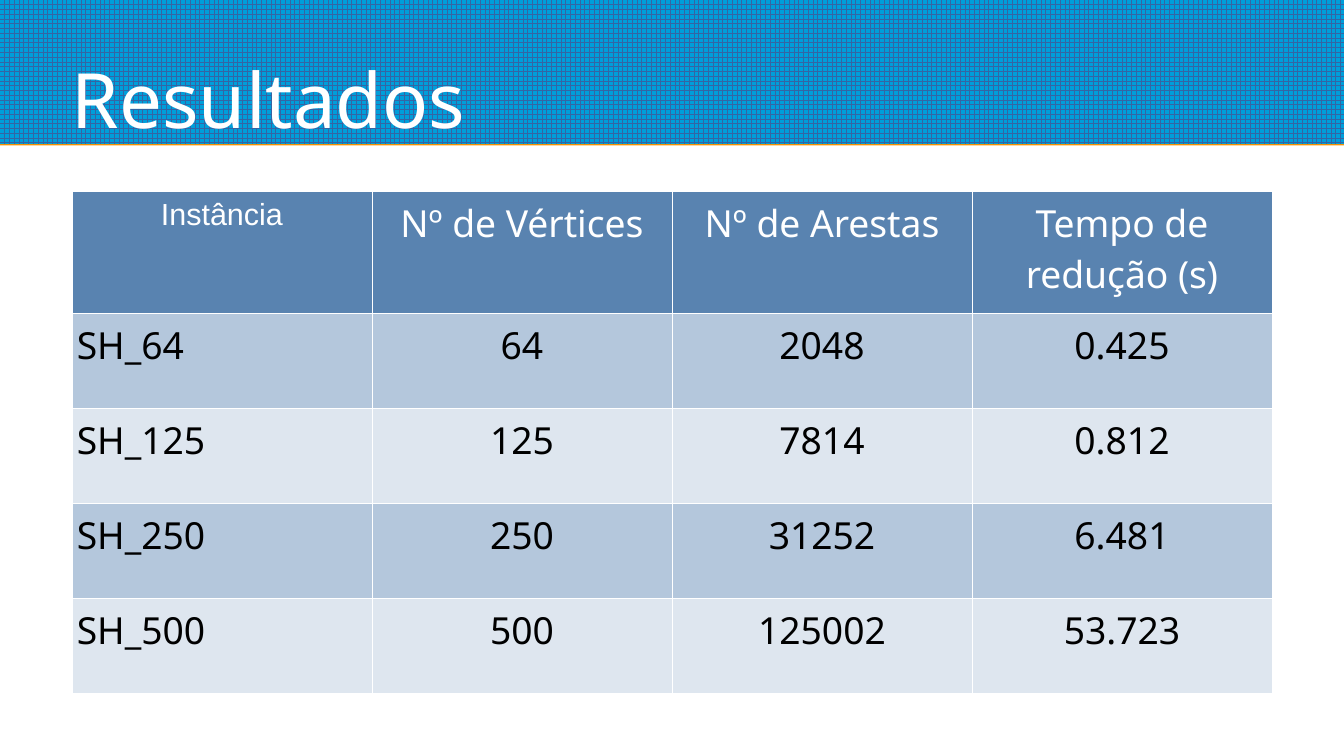
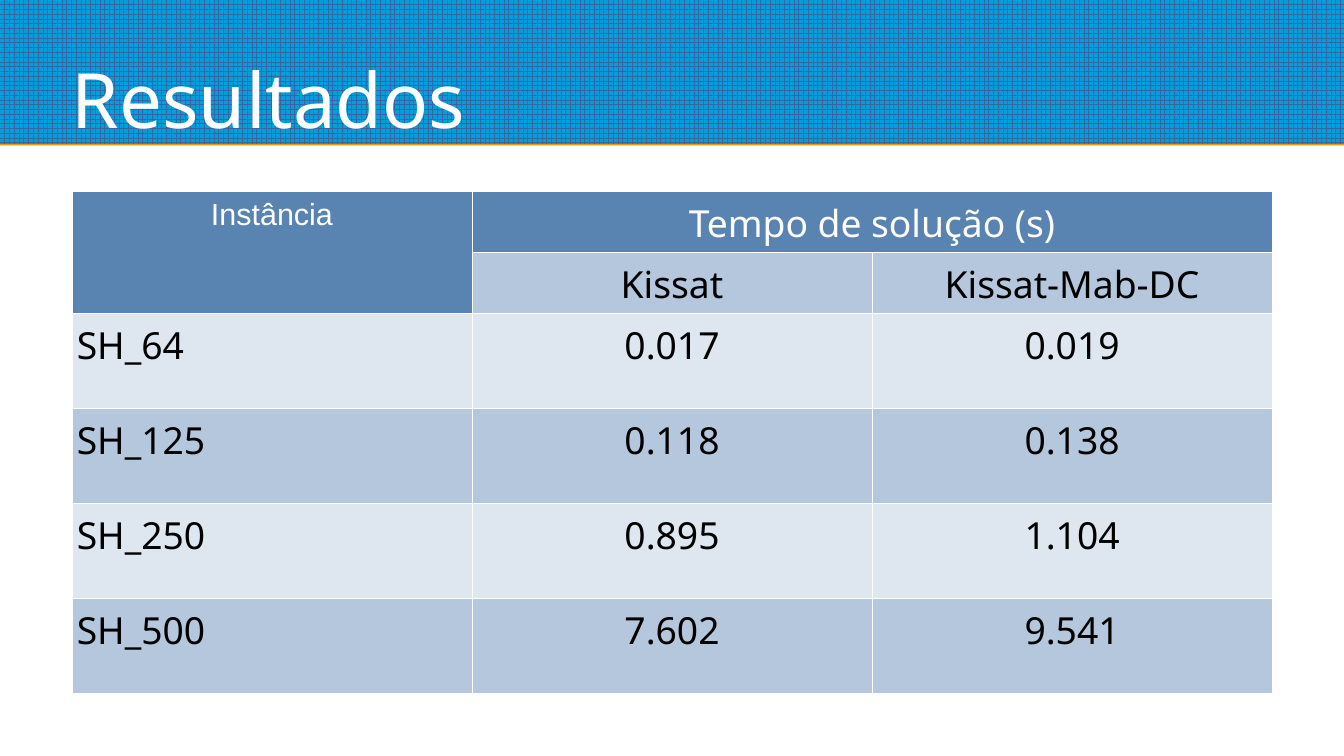
from pptx import Presentation
from pptx.dml.color import RGBColor
from pptx.enum.dml import MSO_PATTERN
from pptx.enum.shapes import MSO_SHAPE
from pptx.enum.text import MSO_ANCHOR, PP_ALIGN
from pptx.oxml import parse_xml
from pptx.oxml.ns import nsdecls
from pptx.util import Inches, Pt

COLORS = {
    "band": "009EDA",
    "grid": "3465A4",
    "edge": "F49100",
    "header": "5983B0",
    "odd_row": "B4C7DC",
    "even_row": "DEE6EF",
    "light": "FFFFFF",
    "dark": "000000",
}
WIDTH, HEIGHT = 11.02, 6.2
MARGIN = 0.59
CONTENT_WIDTH = WIDTH - 2 * MARGIN
BAND_HEIGHT = 1.18
TITLE_TOP = 0.1
TABLE_TOP = 1.57
BODY_ROW = 0.78
FONT = "Noto Sans"
CORNER_FONT = "Arial"


def color(key):
    return RGBColor.from_string(COLORS[key])


def set_font(paragraph, name, size, color_key):
    font = paragraph.font
    font.name = name
    font.size = Pt(size)
    font.bold = False
    font.color.rgb = color(color_key)


def add_band(slide):
    band = slide.shapes.add_shape(
        MSO_SHAPE.RECTANGLE, 0, 0, Inches(WIDTH), Inches(BAND_HEIGHT))
    band.fill.patterned()
    band.fill.pattern = MSO_PATTERN.LARGE_GRID
    band.fill.fore_color.rgb = color("grid")
    band.fill.back_color.rgb = color("band")
    band.line.fill.background()
    band.shadow.inherit = False
    effects = band.element.spPr.find("{*}effectLst")
    effects.append(parse_xml(
        f'<a:outerShdw {nsdecls("a")} blurRad="0" dist="{Pt(0.9)}" '
        f'dir="5400000" algn="ctr" rotWithShape="0">'
        f'<a:srgbClr val="{COLORS["edge"]}"/></a:outerShdw>'))


def add_title(slide, text):
    title = slide.shapes.add_textbox(
        Inches(MARGIN), Inches(TITLE_TOP),
        Inches(CONTENT_WIDTH), Inches(BAND_HEIGHT - TITLE_TOP))
    frame = title.text_frame
    frame.word_wrap = True
    frame.vertical_anchor = MSO_ANCHOR.BOTTOM
    frame.margin_left = frame.margin_right = 0
    frame.margin_top = frame.margin_bottom = 0
    frame.text = text
    set_font(frame.paragraphs[0], FONT, 45, "light")


def add_borders(cell):
    properties = cell._tc.get_or_add_tcPr()
    for side in ("lnL", "lnR", "lnT", "lnB"):
        properties.append(parse_xml(
            f'<a:{side} {nsdecls("a")} w="{Pt(0.57)}"><a:solidFill>'
            f'<a:srgbClr val="{COLORS["light"]}"/></a:solidFill></a:{side}>'))


def fill_cell(cell, text, row, column):
    add_borders(cell)
    cell.margin_left = cell.margin_right = Inches(0.04)
    cell.margin_top = cell.margin_bottom = Inches(0.05)
    cell.fill.solid()
    background = "header" if row == 0 else "odd_row" if row % 2 else "even_row"
    cell.fill.fore_color.rgb = color(background)
    if not text:
        return
    cell.text = text
    paragraph = cell.text_frame.paragraphs[0]
    is_label = column == 0 and row > 0
    paragraph.alignment = PP_ALIGN.LEFT if is_label else PP_ALIGN.CENTER
    name, size = (CORNER_FONT, 18) if row == column == 0 else (FONT, 22)
    set_font(paragraph, name, size, "dark" if row else "light")


def add_results(slide, rows, header_heights, merges=()):
    columns = len(rows[0])
    heights = header_heights + [BODY_ROW] * (len(rows) - len(header_heights))
    table = slide.shapes.add_table(
        len(rows), columns, Inches(MARGIN), Inches(TABLE_TOP),
        Inches(CONTENT_WIDTH), Inches(sum(heights))).table
    table.first_row = table.horz_banding = False
    for column in table.columns:
        column.width = Inches(CONTENT_WIDTH / columns)
    for row, height in zip(table.rows, heights):
        row.height = Inches(height)
    for r, values in enumerate(rows):
        for c, text in enumerate(values):
            fill_cell(table.cell(r, c), text, r, c)
    for first, last in merges:
        table.cell(*first).merge(table.cell(*last))


def add_results_slide(prs, rows, header_heights, merges=()):
    slide = prs.slides.add_slide(prs.slide_layouts[6])
    add_band(slide)
    add_title(slide, "Resultados")
    add_results(slide, rows, header_heights, merges)


def main():
    prs = Presentation()
    prs.slide_width, prs.slide_height = Inches(WIDTH), Inches(HEIGHT)
    add_results_slide(prs, [
        ["Instância", "Nº de Vértices", "Nº de Arestas", "Tempo de redução (s)"],
        ["SH_64", "64", "2048", "0.425"],
        ["SH_125", "125", "7814", "0.812"],
        ["SH_250", "250", "31252", "6.481"],
        ["SH_500", "500", "125002", "53.723"],
    ], [1.0])
    add_results_slide(prs, [
        ["Instância", "Tempo de solução (s)", None],
        [None, "Kissat", "Kissat-Mab-DC"],
        ["SH_64", "0.017", "0.019"],
        ["SH_125", "0.118", "0.138"],
        ["SH_250", "0.895", "1.104"],
        ["SH_500", "7.602", "9.541"],
    ], [0.5, 0.5], [((0, 0), (1, 0)), ((0, 1), (0, 2))])
    prs.save("out.pptx")


if __name__ == "__main__":
    main()
